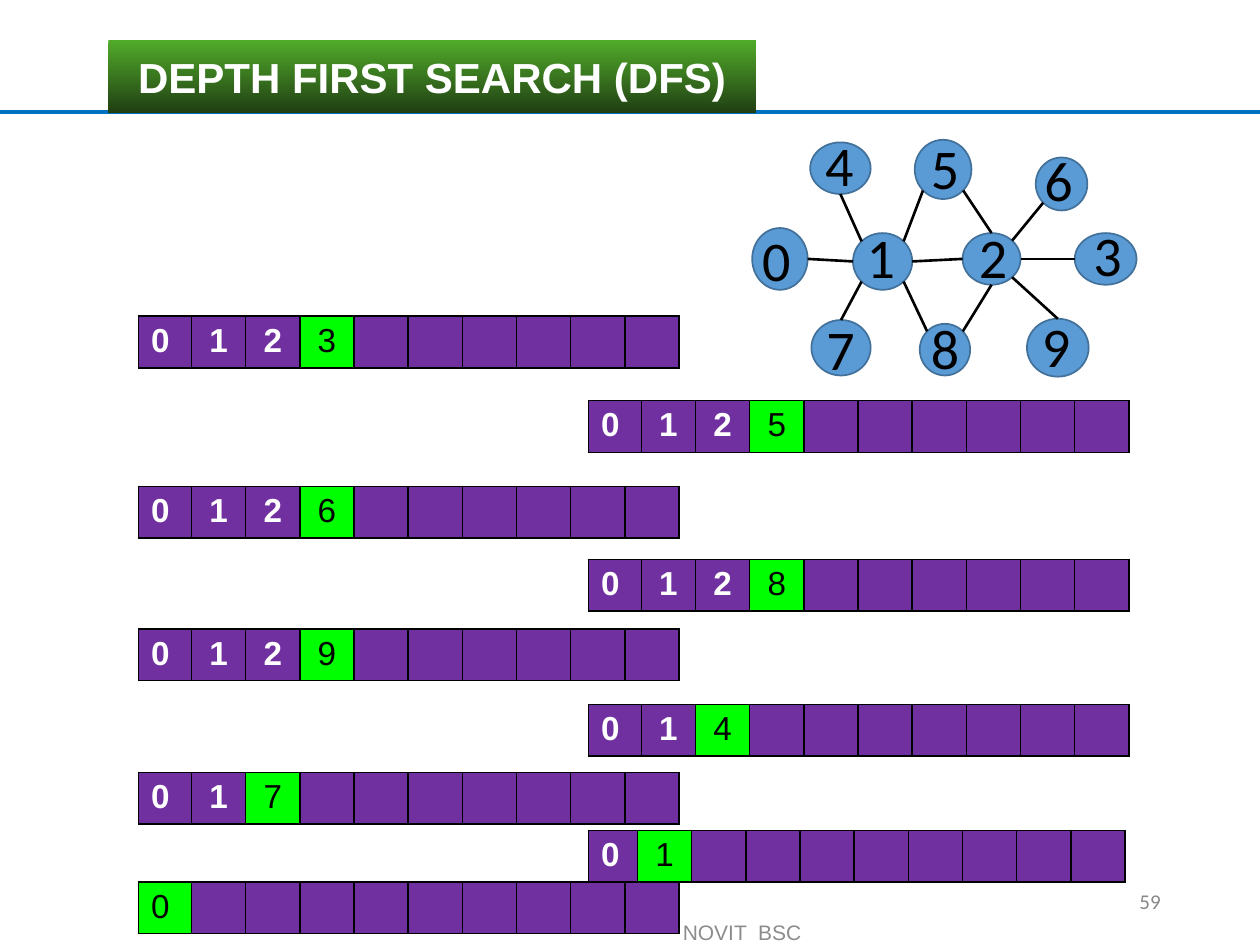
from lxml import etree
from pptx import Presentation
from pptx.dml.color import RGBColor
from pptx.enum.shapes import MSO_CONNECTOR as Connector, MSO_SHAPE as Shape
from pptx.enum.text import MSO_ANCHOR as Anchor, MSO_AUTO_SIZE as AutoSize, PP_ALIGN as Align
from pptx.oxml.ns import qn
from pptx.util import Inches, Pt

COLORS = {
    "rule": "0070C0", "title_top": "51AB2A", "title_bottom": "203E13",
    "visited": "7030A0", "current": "00FF00", "node": "5B9BD5",
    "node_edge": "42719B", "black": "000000", "white": "FFFFFF",
    "footer": "8C8C8C", "number": "888888",
}

NODES = {
    "0": (5.97, 1.81, 0.44, 0.49), "1": (6.77, 1.85, 0.47, 0.45),
    "2": (7.64, 1.85, 0.46, 0.41), "3": (8.53, 1.85, 0.49, 0.41),
    "4": (6.43, 1.13, 0.48, 0.41), "5": (7.26, 1.11, 0.45, 0.47),
    "6": (8.22, 1.25, 0.41, 0.42), "7": (6.44, 2.54, 0.47, 0.44),
    "8": (7.30, 2.57, 0.40, 0.41), "9": (8.15, 2.53, 0.49, 0.46),
}

LABELS = {
    "0": (5.95, 1.74, 0.46), "1": (6.78, 1.72, 0.49), "2": (7.67, 1.72, 0.40),
    "3": (8.58, 1.70, 0.39), "4": (6.45, 0.99, 0.39), "5": (7.29, 1.01, 0.39),
    "6": (8.19, 1.11, 0.39), "7": (6.46, 2.45, 0.39), "8": (7.29, 2.44, 0.39),
    "9": (8.17, 2.42, 0.39),
}

DIAGONAL = 0.71
RIM = {
    "top": (0, -1), "bottom": (0, 1), "left": (-1, 0), "right": (1, 0),
    "top left": (-DIAGONAL, -DIAGONAL), "top right": (DIAGONAL, -DIAGONAL),
    "bottom left": (-DIAGONAL, DIAGONAL), "bottom right": (DIAGONAL, DIAGONAL),
}

EDGES = [
    ("0", "right", "1", "left"), ("1", "right", "2", "left"),
    ("7", "top", "1", "bottom left"), ("1", "bottom right", "8", "top left"),
    ("4", "bottom", "1", "top left"), ("1", "top right", "5", "bottom left"),
    ("5", "bottom right", "2", "top"), ("2", "right", "3", "left"),
    ("2", "top right", "6", "bottom left"), ("9", "top", "2", "bottom right"),
    ("8", "top right", "2", "bottom"),
]

STACK_LEFTS = (1.1, 4.67)
STACKS = [
    ("0123", 2.51), ("0125", 3.18), ("0126", 3.86), ("0128", 4.44),
    ("0129", 4.99), ("014", 5.59), ("017", 6.13), ("01", 6.59), ("0", 7.0),
]
CELL_COUNT = 10


def color(name):
    return RGBColor.from_string(COLORS[name])


def rim_point(node, side):
    left, top, width, height = NODES[node]
    across, down = RIM[side]
    return left + width / 2 * (1 + across), top + height / 2 * (1 + down)


class SlideBuilder:
    def __init__(self, slide):
        self.slide = slide
        self.shapes = slide.shapes

    def fill_text(self, frame, text, size, ink, font="Arial", bold=False, align=Align.LEFT):
        frame.text = text
        paragraph = frame.paragraphs[0]
        paragraph.alignment = align
        for run in paragraph.runs:
            run.font.name = font
            run.font.size = Pt(size)
            run.font.bold = bold
            run.font.color.rgb = color(ink)

    def title(self, text, left, top, width, height):
        shape = self.shapes.title
        shape.left, shape.top = Inches(left), Inches(top)
        shape.width, shape.height = Inches(width), Inches(height)
        shape.fill.gradient()
        shape.fill.gradient_angle = 270
        for stop, name in zip(shape.fill.gradient_stops, ("title_top", "title_bottom")):
            stop.color.rgb = color(name)
        shape.text_frame.vertical_anchor = Anchor.MIDDLE
        shape.text_frame.auto_size = AutoSize.NONE
        self.fill_text(shape.text_frame, text, 24, "white", bold=True, align=Align.CENTER)
        shape.element.getparent().append(shape.element)

    def line(self, start, end, ink, weight):
        points = [Inches(value) for value in (*start, *end)]
        connector = self.shapes.add_connector(Connector.STRAIGHT, *points)
        connector.line.color.rgb = color(ink)
        connector.line.width = Pt(weight)
        etree.SubElement(connector.element.spPr, qn("a:effectLst"))

    def node(self, left, top, width, height):
        shape = self.shapes.add_shape(
            Shape.OVAL, Inches(left), Inches(top), Inches(width), Inches(height))
        shape.shadow.inherit = False
        shape.fill.solid()
        shape.fill.fore_color.rgb = color("node")
        shape.line.color.rgb = color("node_edge")
        shape.line.width = Pt(1)

    def text(self, text, left, top, width, height, size, ink, anchor=Anchor.TOP, **style):
        box = self.shapes.add_textbox(
            Inches(left), Inches(top), Inches(width), Inches(height))
        box.text_frame.word_wrap = True
        box.text_frame.vertical_anchor = anchor
        self.fill_text(box.text_frame, text, size, ink, **style)

    def border(self, cell):
        properties = cell._tc.get_or_add_tcPr()
        for index, side in enumerate(("a:lnL", "a:lnR", "a:lnT", "a:lnB")):
            edge = etree.Element(qn(side), w=str(Pt(1)))
            fill = etree.SubElement(edge, qn("a:solidFill"))
            etree.SubElement(fill, qn("a:srgbClr"), val=COLORS["black"])
            properties.insert(index, edge)

    def stack(self, values, left, top):
        first_width = 0.39 if values == "01" else 0.42
        widths = [first_width] + [0.43] * (CELL_COUNT - 1)
        table = self.shapes.add_table(
            1, CELL_COUNT, Inches(left), Inches(top),
            Inches(sum(widths)), Inches(0.41)).table
        table.first_row = table.horz_banding = False
        for index, width in enumerate(widths):
            table.columns[index].width = Inches(width)
            cell = table.cell(0, index)
            current = index == len(values) - 1
            cell.fill.solid()
            cell.fill.fore_color.rgb = color("current" if current else "visited")
            self.border(cell)
            if index < len(values):
                self.fill_text(cell.text_frame, values[index], 19,
                               "black" if current else "white", bold=not current,
                               align=Align.CENTER if index else Align.LEFT)


def main():
    presentation = Presentation()
    presentation.slide_width = Inches(10)
    presentation.slide_height = Inches(7.5)
    builder = SlideBuilder(presentation.slides.add_slide(presentation.slide_layouts[5]))

    builder.line((0, 0.89), (10, 0.89), "rule", 2)
    for index, (values, top) in enumerate(STACKS):
        builder.stack(values, STACK_LEFTS[index % 2], top)
    for box in NODES.values():
        builder.node(*box)
    for start, start_side, end, end_side in EDGES:
        builder.line(rim_point(start, start_side), rim_point(end, end_side), "black", 1.5)
    for label, (left, top, width) in LABELS.items():
        builder.text(label, left, top, width, 0.64, 32, "black", font="Calibri")
    builder.text("NOVIT  BSC", 3.64, 7.2, 4.5, 0.4, 12, "footer",
                 anchor=Anchor.MIDDLE, align=Align.CENTER)
    builder.text("59", 7.06, 6.95, 2.25, 0.4, 12, "number",
                 anchor=Anchor.MIDDLE, font="Calibri", align=Align.RIGHT)
    builder.title("DEPTH FIRST SEARCH (DFS)", 0.86, 0.32, 5.14, 0.58)
    presentation.save("out.pptx")


if __name__ == "__main__":
    main()
